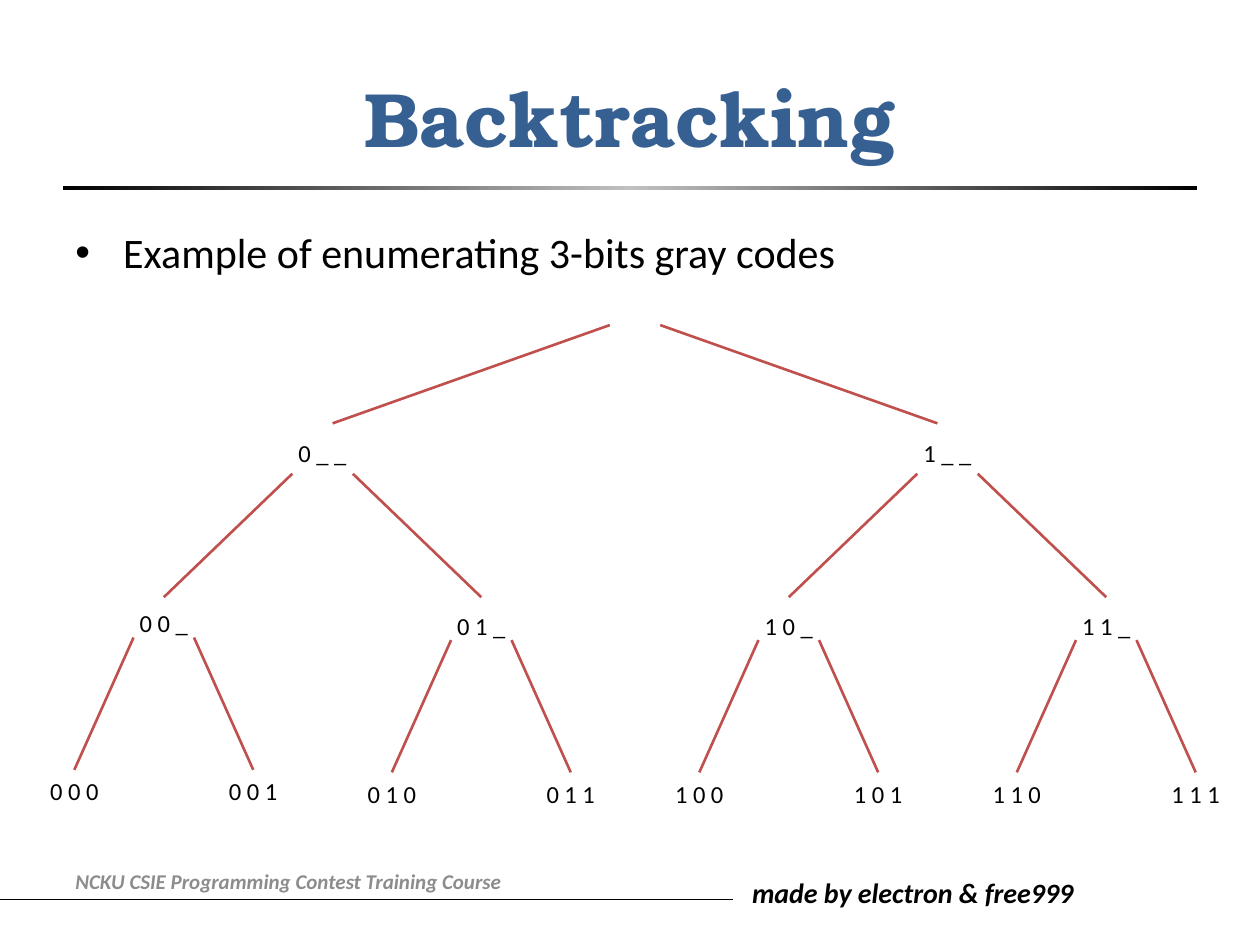
from lxml import etree
from pptx import Presentation
from pptx.dml.color import RGBColor
from pptx.enum import shapes, text
from pptx.oxml import ns
from pptx.util import Inches, Pt

COLORS = {"title": "376092", "ink": "000000", "branch": "C0504D",
          "footer": "8C8C8C", "shine": "C0C0C0"}
TITLE = "Backtracking"
BULLET = "Example of enumerating 3-bits gray codes"
COURSE = "NCKU CSIE Programming Contest Training Course"
AUTHORS = "made by electron & free999"

BITS = 3
ROOT_X = 5.04
# One entry per tree level: distance from a parent to its children, inset of
# the branch at each end, top and bottom of the branch, top of the child label.
LEVELS = [
    {"spread": 2.48, "start": 0.2, "end": 0.08, "y": (2.58, 3.36), "label": 3.43},
    {"spread": 1.26, "start": 0.24, "end": 0, "y": (3.76, 4.74), "label": 4.8},
    {"spread": 0.71, "start": 0.24, "end": 0, "y": (5.08, 6.13), "label": 6.13},
]
LIFTED, LIFT = "00", 0.02
LABEL_W, LABEL_H = 0.63, 0.28

prs = Presentation()
prs.slide_width, prs.slide_height = Inches(10), Inches(7.5)
s = prs.slides.add_slide(prs.slide_layouts[6])


def add_text(content, box, size, color="ink", font="Calibri", bold=False,
             italic=False, align=text.PP_ALIGN.LEFT,
             anchor=text.MSO_ANCHOR.TOP, wrap=True, grow=False):
    """Add a one-paragraph text box and return the paragraph."""
    tf = s.shapes.add_textbox(*map(Inches, box)).text_frame
    tf.word_wrap, tf.vertical_anchor = wrap, anchor
    if grow:
        tf.auto_size = text.MSO_AUTO_SIZE.SHAPE_TO_FIT_TEXT
    p = tf.paragraphs[0]
    p.text, p.alignment = content, align
    f = p.runs[0].font
    f.name, f.size, f.bold, f.italic = font, Pt(size), bold, italic
    f.color.rgb = RGBColor.from_string(COLORS[color])
    return p


def add_line(x1, y1, x2, y2, color, width):
    """Add a straight line without a shadow."""
    c = s.shapes.add_connector(shapes.MSO_CONNECTOR.STRAIGHT,
                               *map(Inches, (x1, y1, x2, y2)))
    c.line.color.rgb = RGBColor.from_string(COLORS[color])
    c.line.width = Pt(width)
    etree.SubElement(c._element.spPr, ns.qn("a:effectLst"))


def add_bullet(p, indent):
    """Give a paragraph a round bullet with a hanging indent."""
    pPr = p._p.get_or_add_pPr()
    pPr.set("marL", str(Inches(indent)))
    pPr.set("indent", str(-Inches(indent)))
    etree.SubElement(pPr, ns.qn("a:buFont")).set("typeface", "Arial")
    etree.SubElement(pPr, ns.qn("a:buChar")).set("char", "\u2022")


def add_rule(box, stops):
    """Add a thin bar filled with a left-to-right gradient."""
    sp = s.shapes.add_shape(shapes.MSO_SHAPE.RECTANGLE, *map(Inches, box))
    sp.shadow.inherit = False
    sp.line.fill.background()
    sp.fill.gradient()
    sp.fill.gradient_angle = 0
    gsLst = sp._element.spPr.find(".//" + ns.qn("a:gsLst"))
    for gs in list(gsLst):
        gsLst.remove(gs)
    for percent, color in stops:
        gs = etree.SubElement(gsLst, ns.qn("a:gs"), pos=str(percent * 1000))
        etree.SubElement(gs, ns.qn("a:srgbClr"), val=COLORS[color])


def add_children(prefix, x):
    """Draw both branches below a node, then the subtrees under them."""
    depth = len(prefix)
    if depth == BITS:
        return
    level = LEVELS[depth]
    lift = LIFT if prefix.startswith(LIFTED) else 0
    top, bottom = (y - lift for y in level["y"])
    for bit, side in (("0", -1), ("1", 1)):
        code = prefix + bit
        child_x = x + side * level["spread"]
        add_line(x + side * level["start"], top,
                 child_x - side * level["end"], bottom, "branch", 1.5)
        label_y = level["label"] - (LIFT if code.startswith(LIFTED) else 0)
        add_text(" ".join(code.ljust(BITS, "_")),
                 (child_x - LABEL_W / 2, label_y, LABEL_W, LABEL_H), 14,
                 align=text.PP_ALIGN.CENTER, wrap=False, grow=True)
        add_children(code, child_x)


add_line(0, 7.14, 5.82, 7.14, "ink", 0.5)
add_text(AUTHORS, (5.87, 6.9, 3.12, 0.37), 16, bold=True, italic=True, grow=True)
add_rule((0.5, 1.48, 9, 0.03), [(0, "ink"), (50, "shine"), (100, "ink")])
add_text(TITLE, (0.5, 0.3, 9, 1.25), 44, "title", "TeX Gyre Bonum", bold=True,
         align=text.PP_ALIGN.CENTER, anchor=text.MSO_ANCHOR.MIDDLE)
body = add_text(BULLET, (0.5, 1.75, 9, 4.95), 24)
body.space_before = Pt(4.8)
add_bullet(body, 0.38)
add_text(COURSE, (0.5, 6.79, 4.66, 0.4), 12, "footer", bold=True, italic=True,
         anchor=text.MSO_ANCHOR.MIDDLE)
add_children("", ROOT_X)

prs.save("out.pptx")
